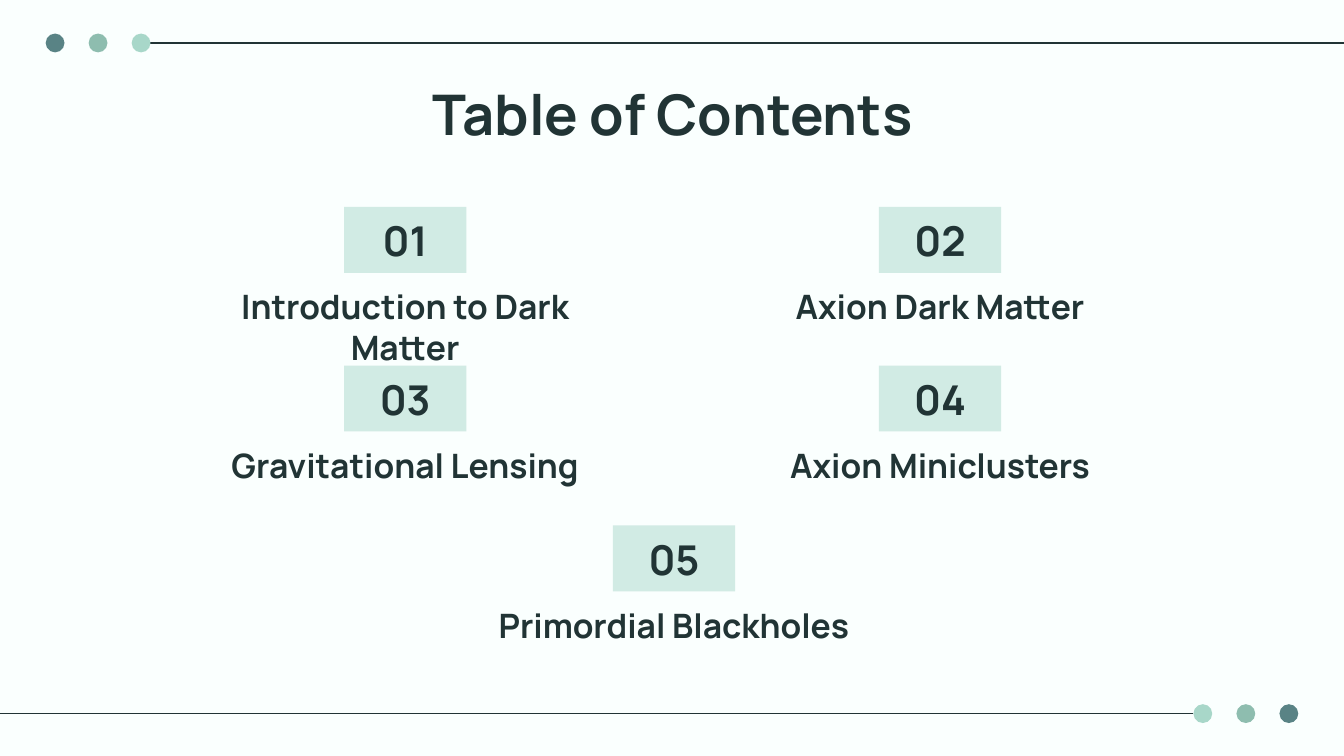
from lxml import etree
from pptx import Presentation
from pptx.dml.color import RGBColor
from pptx.enum.shapes import MSO_CONNECTOR, MSO_SHAPE
from pptx.enum.text import MSO_ANCHOR, PP_ALIGN
from pptx.oxml.ns import qn
from pptx.util import Inches, Pt

BACKGROUND = RGBColor(0xFA, 0xFF, 0xFE)
INK = RGBColor(0x21, 0x34, 0x35)
MINT = RGBColor(0xA8, 0xD7, 0xC9)
SAGE = RGBColor(0x8E, 0xBD, 0xAF)
TEAL = RGBColor(0x59, 0x83, 0x85)

SLIDE_W = 10
SLIDE_H = SLIDE_W * 9 / 16
DOT, DOT_PITCH = 0.14, 0.32
ITEM_W, ROW_H = 3.23, 0.49
BADGE_W = 0.91
ROW_TOPS = (1.54, 2.72, 3.91)
LEFT, MIDDLE, RIGHT = 1.4, 3.4, 5.38

TOPICS = [
    ("Introduction to Dark Matter", LEFT, 0),
    ("Axion Dark Matter", RIGHT, 0),
    ("Gravitational Lensing", LEFT, 1),
    ("Axion Miniclusters", RIGHT, 1),
    ("Primordial Blackholes", MIDDLE, 2),
]


def write(shape, text, size, anchor=MSO_ANCHOR.TOP, bottom=0.1):
    frame = shape.text_frame
    frame.word_wrap = True
    frame.vertical_anchor = anchor
    frame.margin_left = frame.margin_right = frame.margin_top = Inches(0.1)
    frame.margin_bottom = Inches(bottom)
    line = frame.paragraphs[0]
    line.text = text
    line.alignment = PP_ALIGN.CENTER
    line.font.name = "Manrope"
    line.font.size = Pt(size)
    line.font.bold = True
    line.font.color.rgb = INK


def add_text(slide, text, size, left, top, width, height):
    box = slide.shapes.add_textbox(*map(Inches, (left, top, width, height)))
    write(box, text, size)


def add_filled(slide, preset, color, left, top, width, height):
    shape = slide.shapes.add_shape(preset, *map(Inches, (left, top, width, height)))
    shape.shadow.inherit = False
    shape.fill.solid()
    shape.fill.fore_color.rgb = color
    shape.line.fill.background()
    return shape


def add_dotted_rule(slide, first_dot, top, colors, rule_start, rule_end):
    """A thin rule with a row of dots beside it, vertically centred on it."""
    middle = Inches(top + DOT / 2)
    rule = slide.shapes.add_connector(
        MSO_CONNECTOR.STRAIGHT, Inches(rule_start), middle, Inches(rule_end), middle)
    rule.line.color.rgb = INK
    rule.line.width = Pt(0.75)
    etree.SubElement(rule._element.spPr, qn("a:effectLst"))
    for i, color in enumerate(colors):
        add_filled(slide, MSO_SHAPE.OVAL, color,
                   first_dot + i * DOT_PITCH, top, DOT, DOT)


def add_topic(slide, number, topic, left, top):
    """A numbered badge centred above the topic's name."""
    badge = add_filled(slide, MSO_SHAPE.RECTANGLE, MINT,
                       left + (ITEM_W - BADGE_W) / 2, top, BADGE_W, ROW_H)
    mint = badge._element.spPr.find(qn("a:solidFill"))[0]
    etree.SubElement(mint, qn("a:alpha"), val="49000")
    write(badge, f"{number:02d}", 22, MSO_ANCHOR.BOTTOM, bottom=0.06)
    add_text(slide, topic, 18, left, top + ROW_H, ITEM_W, ROW_H)


def add_contents_slide(deck):
    slide = deck.slides.add_slide(deck.slide_layouts[6])
    slide.background.fill.solid()
    slide.background.fill.fore_color.rgb = BACKGROUND
    add_dotted_rule(slide, 8.88, 5.24, (MINT, SAGE, TEAL), 8.88, 0)
    add_dotted_rule(slide, 0.34, 0.25, (TEAL, SAGE, MINT), 1.12, SLIDE_W)
    add_text(slide, "Table of Contents", 30, 0.79, 0.49, 8.43, 0.63)
    for number, (topic, left, row) in enumerate(TOPICS, start=1):
        add_topic(slide, number, topic, left, ROW_TOPS[row])


def main():
    deck = Presentation()
    deck.slide_width = Inches(SLIDE_W)
    deck.slide_height = Inches(SLIDE_H)
    add_contents_slide(deck)
    deck.save("out.pptx")


if __name__ == "__main__":
    main()
